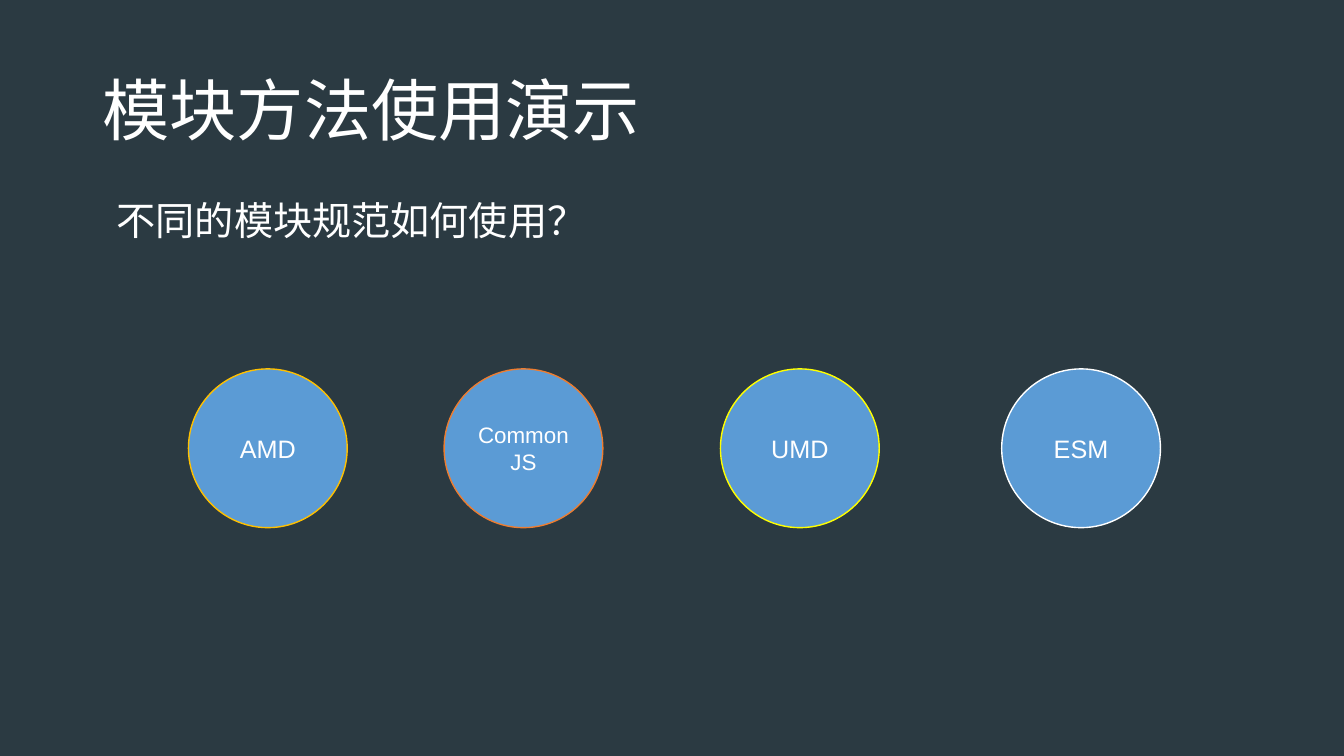
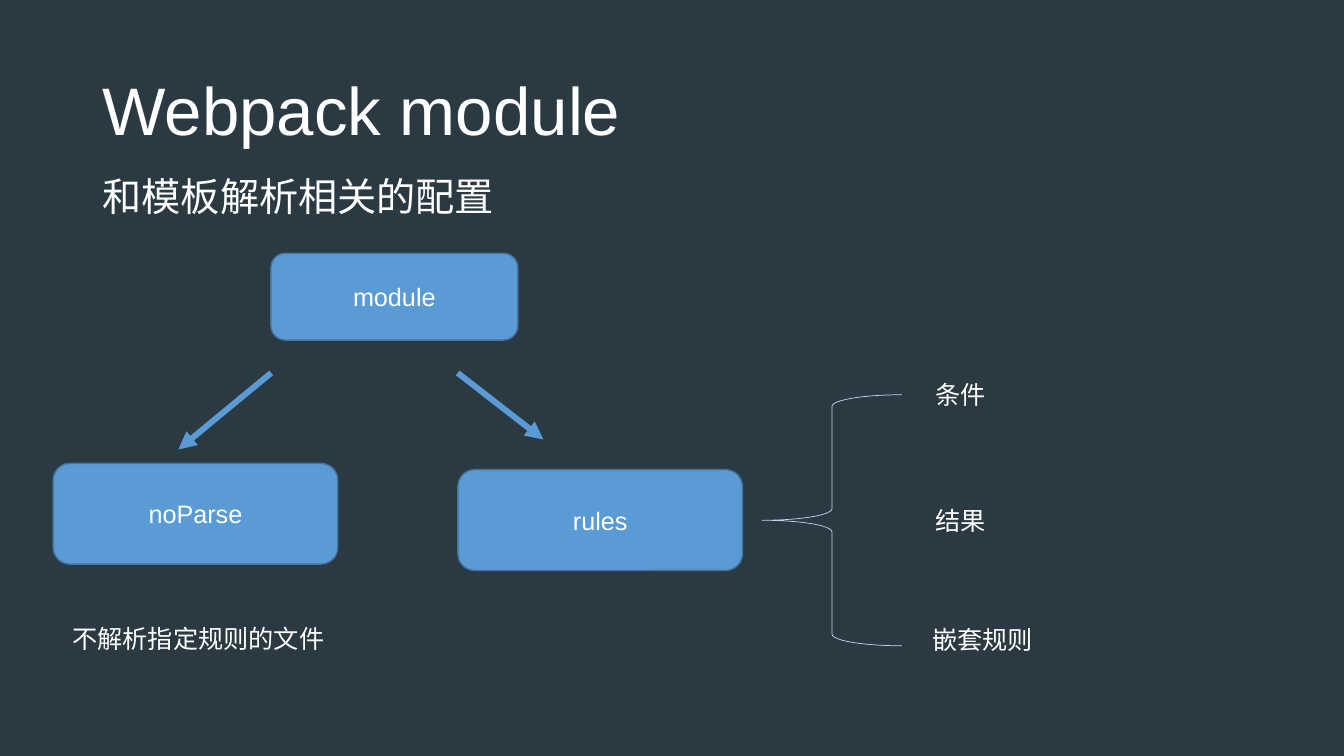
from lxml.etree import SubElement
from pptx import Presentation
from pptx.dml.color import RGBColor
from pptx.enum.lang import MSO_LANGUAGE_ID as LANG
from pptx.enum.shapes import MSO_CONNECTOR, MSO_SHAPE as SHAPE
from pptx.enum.text import MSO_ANCHOR as ANCHOR, MSO_AUTO_SIZE as FIT, PP_ALIGN as ALIGN
from pptx.oxml.ns import qn
from pptx.util import Pt

SLATE = RGBColor(0x2B, 0x3A, 0x42)
WHITE = RGBColor(0xFF, 0xFF, 0xFF)
BLUE = RGBColor(0x5B, 0x9B, 0xD5)
DARK_BLUE = RGBColor(0x43, 0x73, 0x9E)
PALE_BLUE = RGBColor(0xBD, 0xD7, 0xEE)
GOLD = RGBColor(0xFF, 0xC0, 0x00)
ORANGE = RGBColor(0xED, 0x7D, 0x31)
YELLOW = RGBColor(0xFF, 0xFF, 0x00)


class Deck:
    font = "Arial"

    def __init__(self):
        self.prs = Presentation()
        self.prs.slide_width, self.prs.slide_height = Pt(960), Pt(540)
        fill = self.prs.slide_master.background.fill
        fill.solid()
        fill.fore_color.rgb = SLATE

    def slide(self, title):
        self.s = self.prs.slides.add_slide(self.prs.slide_layouts[6])
        tf = self.text(title, 66.25, 28.8, 828, 104.4, 48, spacing=0.9)
        tf.vertical_anchor = ANCHOR.MIDDLE

    def set_text(self, tf, text, size, align=ALIGN.LEFT):
        tf.text = text
        for p in tf.paragraphs:
            p.alignment = align
            for r in p.runs:
                r.font.name = self.font
                r.font.size = Pt(size)
                r.font.color.rgb = WHITE
                r.font.language_id = LANG.SIMPLIFIED_CHINESE

    def text(self, text, x, y, w, h, size, spacing=1.0, before=0):
        tf = self.s.shapes.add_textbox(Pt(x), Pt(y), Pt(w), Pt(h)).text_frame
        tf.word_wrap = True
        self.set_text(tf, text, size)
        p = tf.paragraphs[0]
        p.line_spacing = spacing
        p.space_before = Pt(before)
        return tf

    def subtitle(self, text, x, y, h, spacing):
        self.text(text, x, y, 828, h, 28, spacing, before=10)

    def label(self, text, x, y, w):
        tf = self.text(text, x, y, w, 28.8, 18)
        tf.word_wrap = False
        tf.auto_size = FIT.SHAPE_TO_FIT_TEXT

    def outline(self, kind, x, y, w, h, color, width=1):
        sp = self.s.shapes.add_shape(kind, Pt(x), Pt(y), Pt(w), Pt(h))
        sp.shadow.inherit = False
        sp.fill.background()
        sp.line.color.rgb = color
        sp.line.width = Pt(width)
        return sp

    def node(self, kind, text, x, y, w, h, color=DARK_BLUE, size=18):
        sp = self.outline(kind, x, y, w, h, color)
        sp.fill.solid()
        sp.fill.fore_color.rgb = BLUE
        sp.text_frame.vertical_anchor = ANCHOR.MIDDLE
        self.set_text(sp.text_frame, text, size, ALIGN.CENTER)

    def arrow(self, x1, y1, x2, y2):
        arrow = self.s.shapes.add_connector(
            MSO_CONNECTOR.STRAIGHT, Pt(x1), Pt(y1), Pt(x2), Pt(y2))
        arrow.line.color.rgb = BLUE
        arrow.line.width = Pt(4.25)
        props = arrow.element.spPr
        SubElement(props.find(qn("a:ln")), qn("a:tailEnd"), type="triangle")
        SubElement(props, qn("a:effectLst"))


deck = Deck()

deck.slide("模块方法使用演示")
deck.subtitle("不同的模块规范如何使用？", 76.3, 143.3, 36.7, 0.8)
for name, x, color, size in (
    ("AMD", 134.6, GOLD, 18),
    ("Common\nJS", 317.2, ORANGE, 16),
    ("UMD", 514.6, YELLOW, 18),
    ("ESM", 715.5, WHITE, 18),
):
    deck.node(SHAPE.OVAL, name, x, 263.5, 113.4, 113.4, color, size)

deck.slide("Webpack module")
deck.subtitle("和模板解析相关的配置", 66.25, 123.1, 41, 0.9)
for name, x, y, w, h in (
    ("module", 193.5, 180.9, 176.4, 62),
    ("noParse", 38, 331, 203.3, 72),
    ("rules", 327.1, 335.5, 203.3, 72),
):
    deck.node(SHAPE.ROUNDED_RECTANGLE, name, x, y, w, h)
deck.arrow(193.7, 266.4, 127.4, 321.1)
deck.arrow(326.9, 266.4, 388.1, 313.9)
deck.outline(SHAPE.LEFT_BRACE, 544.3, 282, 100, 179.3, PALE_BLUE, 0.5)
for text, x, y, w in (
    ("不解析指定规则的文件", 44.6, 441.4, 196.6),
    ("条件", 661, 267.1, 51.1),
    ("结果", 661, 357.1, 51.1),
    ("嵌套规则", 658.8, 442.1, 87.8),
):
    deck.label(text, x, y, w)

deck.prs.save("out.pptx")
